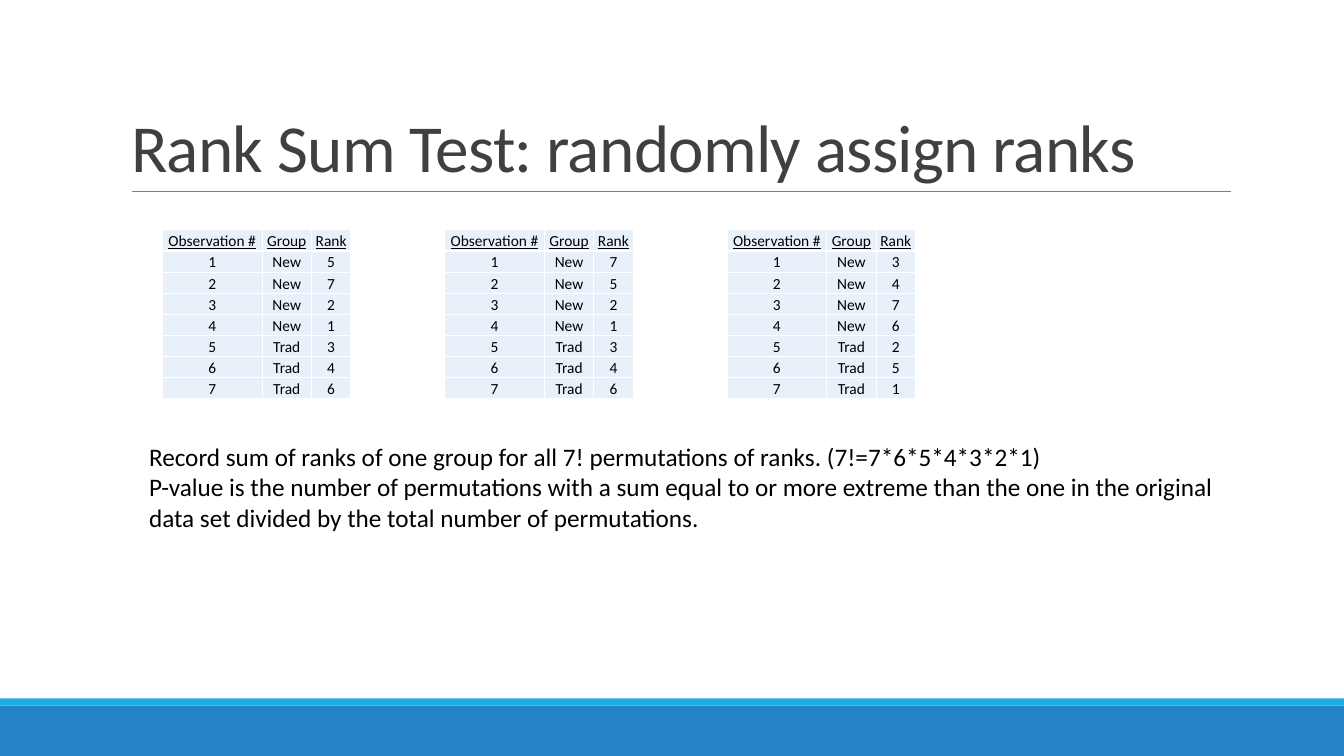
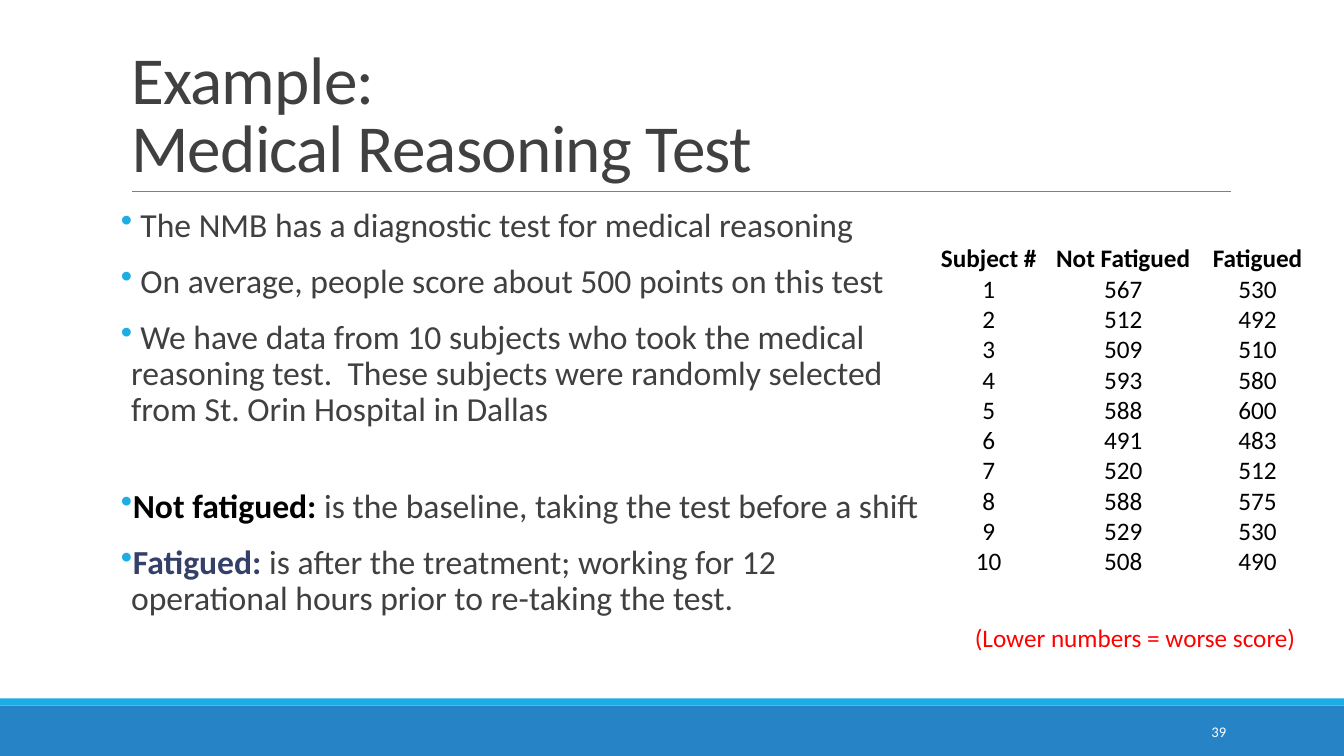
from dataclasses import dataclass

from lxml import etree
from pptx import Presentation
from pptx.dml.color import RGBColor
from pptx.enum.shapes import MSO_CONNECTOR, MSO_SHAPE
from pptx.enum.text import MSO_ANCHOR, MSO_AUTO_SIZE, PP_ALIGN
from pptx.oxml.ns import qn
from pptx.util import Inches, Pt

RECTANGLE, STRAIGHT = MSO_SHAPE.RECTANGLE, MSO_CONNECTOR.STRAIGHT
BOTTOM, MIDDLE, TOP = MSO_ANCHOR.BOTTOM, MSO_ANCHOR.MIDDLE, MSO_ANCHOR.TOP
LEFT, CENTER, RIGHT = PP_ALIGN.LEFT, PP_ALIGN.CENTER, PP_ALIGN.RIGHT
NO_AUTOFIT = MSO_AUTO_SIZE.NONE
TITLE_ONLY = 5


@dataclass(frozen=True)
class Theme:
    font: str = "Calibri"
    band: str = "2683C6"
    accent: str = "1CADE4"
    rule: str = "808080"
    heading: str = "404040"
    text: str = "000000"
    treatment: str = "344068"
    warning: str = "FF0000"
    page: str = "FFFFFF"
    cell: str = "E8F1FA"
    title_size: float = 48
    bullet_size: float = 24
    text_size: float = 18
    rank_size: float = 11
    number_size: float = 10.5


THEME = Theme()
WIDTH, HEIGHT = 13.33, 7.5
BAND_TOP, STRIPE_HEIGHT = 7, 0.07
TITLE_BOX = (1.2, 0.31, 11, 1.59)

RANK_TITLE = ["Rank Sum Test: randomly assign ranks"]
RANK_HEADER = ["Observation #", "Group", "Rank"]
GROUPS = ["New"] * 4 + ["Trad"] * 3
RANKINGS = [
    [5, 7, 2, 1, 3, 4, 6],
    [7, 5, 2, 1, 3, 4, 6],
    [3, 4, 7, 6, 2, 5, 1],
]
RANK_NOTES = [
    "Record sum of ranks of one group for all 7! permutations of ranks. (7!=7*6*5*4*3*2*1)",
    "P-value is the number of permutations with a sum equal to or more extreme than "
    "the one in the original data set divided by the total number of permutations.",
]

EXAMPLE_TITLE = ["Example: ", "Medical Reasoning Test"]
# Each bullet: space before in points, then (text, colour, bold) runs.
EXAMPLE_BULLETS = [
    (12, [(" The NMB has a diagnostic test for medical reasoning", THEME.heading, False)]),
    (12, [(" On average, people score about 500 points on this test", THEME.heading, False)]),
    (12, [(" We have data from 10 subjects who took the medical reasoning test.  These "
           "subjects were randomly selected from St. Orin Hospital in Dallas",
           THEME.heading, False)]),
    (41, [("Not fatigued: ", THEME.text, True),
          ("is the baseline, taking the test before a shift", THEME.heading, False)]),
    (12, [("Fatigued: ", THEME.treatment, True),
          ("is after the treatment; working for 12 operational hours prior to "
           "re-taking the test.", THEME.heading, False)]),
]
SCORE_HEADER = ["Subject #", "Not Fatigued", "Fatigued"]
NOT_FATIGUED = [567, 512, 509, 593, 588, 491, 520, 588, 529, 508]
FATIGUED = [530, 492, 510, 580, 600, 483, 512, 575, 530, 490]
SCORE_NOTE = "(Lower numbers = worse score)"
PAGE_NUMBER = "39"


def inches(*lengths):
    return [Inches(length) for length in lengths]


def rgb(colour):
    return RGBColor.from_string(colour)


def add_run(paragraph, text, size, colour, bold=False, underline=False):
    run = paragraph.add_run()
    run.text = text
    font = run.font
    font.name, font.size, font.bold, font.underline = THEME.font, Pt(size), bold, underline
    font.color.rgb = rgb(colour)
    return run


def add_paragraph(frame, index):
    """Return the frame's own first paragraph, or a new one after it."""
    return frame.add_paragraph() if index else frame.paragraphs[0]


def add_text(slide, box, lines, size, colour, align=LEFT, anchor=TOP, wrap=True):
    frame = slide.shapes.add_textbox(*inches(*box)).text_frame
    frame.word_wrap, frame.vertical_anchor = wrap, anchor
    for index, line in enumerate(lines):
        paragraph = add_paragraph(frame, index)
        paragraph.alignment = align
        add_run(paragraph, line, size, colour)


def add_bullets(slide, box, bullets):
    frame = slide.shapes.add_textbox(*inches(*box)).text_frame
    frame.word_wrap = True
    frame.margin_left = frame.margin_right = 0
    for index, (space_before, runs) in enumerate(bullets):
        paragraph = add_paragraph(frame, index)
        paragraph.line_spacing = 0.9
        paragraph.space_before, paragraph.space_after = Pt(space_before), Pt(2)
        for text, colour, bold in runs:
            add_run(paragraph, text, THEME.bullet_size, colour, bold)
        properties = paragraph._p.get_or_add_pPr()
        properties.set("marL", str(Inches(0.1)))
        properties.set("indent", str(Inches(-0.1)))
        bullet_colour = etree.SubElement(properties, qn("a:buClr"))
        etree.SubElement(bullet_colour, qn("a:srgbClr"), val=THEME.accent)
        etree.SubElement(properties, qn("a:buChar"), char="•")


def add_grid(slide, left, top, columns, row_height, rows, size, margin=0,
             fill=None, **header_style):
    """Add a table whose first row carries the header style."""
    box = inches(left, top, sum(columns), row_height * len(rows))
    table = slide.shapes.add_table(len(rows), len(columns), *box).table
    table.first_row = table.horz_banding = False
    for column, width in zip(table.columns, columns):
        column.width = Inches(width)
    for r, row in enumerate(rows):
        table.rows[r].height = Inches(row_height)
        for c, value in enumerate(row):
            cell = table.cell(r, c)
            cell.margin_left = cell.margin_right = cell.margin_top = Inches(margin)
            cell.margin_bottom = 0
            cell.vertical_anchor = BOTTOM
            if fill:
                cell.fill.solid()
                cell.fill.fore_color.rgb = rgb(fill)
            else:
                cell.fill.background()
            paragraph = cell.text_frame.paragraphs[0]
            paragraph.alignment = CENTER
            style = {} if r else header_style
            add_run(paragraph, str(value), size, THEME.text, **style)


def dress_layout(layout, slide):
    """Draw the shared bands and rule, and move them from the slide to its layout."""
    title = layout.placeholders[0]
    title.left, title.top, title.width, title.height = inches(*TITLE_BOX)
    title.text_frame.vertical_anchor = BOTTOM
    title.text_frame.auto_size = NO_AUTOFIT

    decorations = []
    for top, height, colour in (
        (BAND_TOP, HEIGHT - BAND_TOP, THEME.band),
        (BAND_TOP - STRIPE_HEIGHT, STRIPE_HEIGHT, THEME.accent),
    ):
        band = slide.shapes.add_shape(RECTANGLE, *inches(0, top, WIDTH, height))
        band.shadow.inherit = False
        band.fill.solid()
        band.fill.fore_color.rgb = rgb(colour)
        band.line.fill.background()
        decorations.append(band)

    rule = slide.shapes.add_connector(STRAIGHT, *inches(1.31, 1.9, 12.21, 1.9))
    rule.line.color.rgb, rule.line.width = rgb(THEME.rule), Pt(0.5)
    etree.SubElement(rule.element.spPr, qn("a:effectLst"))
    decorations.append(rule)
    for decoration in decorations:
        layout.shapes.element.append(decoration.element)


def set_title(slide, lines):
    paragraph = slide.shapes.title.text_frame.paragraphs[0]
    paragraph.alignment, paragraph.line_spacing = LEFT, 0.85
    for index, line in enumerate(lines):
        if index:
            paragraph.add_line_break()
        run = add_run(paragraph, line, THEME.title_size, THEME.heading)
        run.font._element.set("spc", "-50")


def fill_rank_slide(slide):
    set_title(slide, RANK_TITLE)
    for index, ranks in enumerate(RANKINGS):
        rows = [RANK_HEADER, *zip(range(1, len(ranks) + 1), GROUPS, ranks)]
        add_grid(slide, 1.61 + 2.8 * index, 2.28, [0.99, 0.49, 0.39], 0.21, rows,
                 THEME.rank_size, margin=0.01, fill=THEME.cell, underline=True)
    add_text(slide, (1.38, 4.33, 11.01, 1.01), RANK_NOTES, THEME.text_size, THEME.text)


def fill_example_slide(slide):
    set_title(slide, EXAMPLE_TITLE)
    add_bullets(slide, (1.2, 2.02, 8.1, 4.4), EXAMPLE_BULLETS)
    add_text(slide, (10.83, 7.06, 1.43, 0.4), [PAGE_NUMBER], THEME.number_size,
             THEME.page, align=RIGHT, anchor=MIDDLE)
    subjects = range(1, len(FATIGUED) + 1)
    rows = [SCORE_HEADER, *zip(subjects, NOT_FATIGUED, FATIGUED)]
    add_grid(slide, 9.14, 2.42, [4 / 3] * 3, 0.3, rows, THEME.text_size, bold=True)
    add_text(slide, (9.57, 6.12, 3.42, 0.4), [SCORE_NOTE], THEME.text_size,
             THEME.warning, wrap=False)


def main():
    deck = Presentation()
    deck.slide_width, deck.slide_height = inches(WIDTH, HEIGHT)
    layout = deck.slide_layouts[TITLE_ONLY]
    rank_slide, example_slide = [deck.slides.add_slide(layout) for _ in range(2)]
    dress_layout(layout, rank_slide)
    fill_rank_slide(rank_slide)
    fill_example_slide(example_slide)
    deck.save("out.pptx")


if __name__ == "__main__":
    main()
